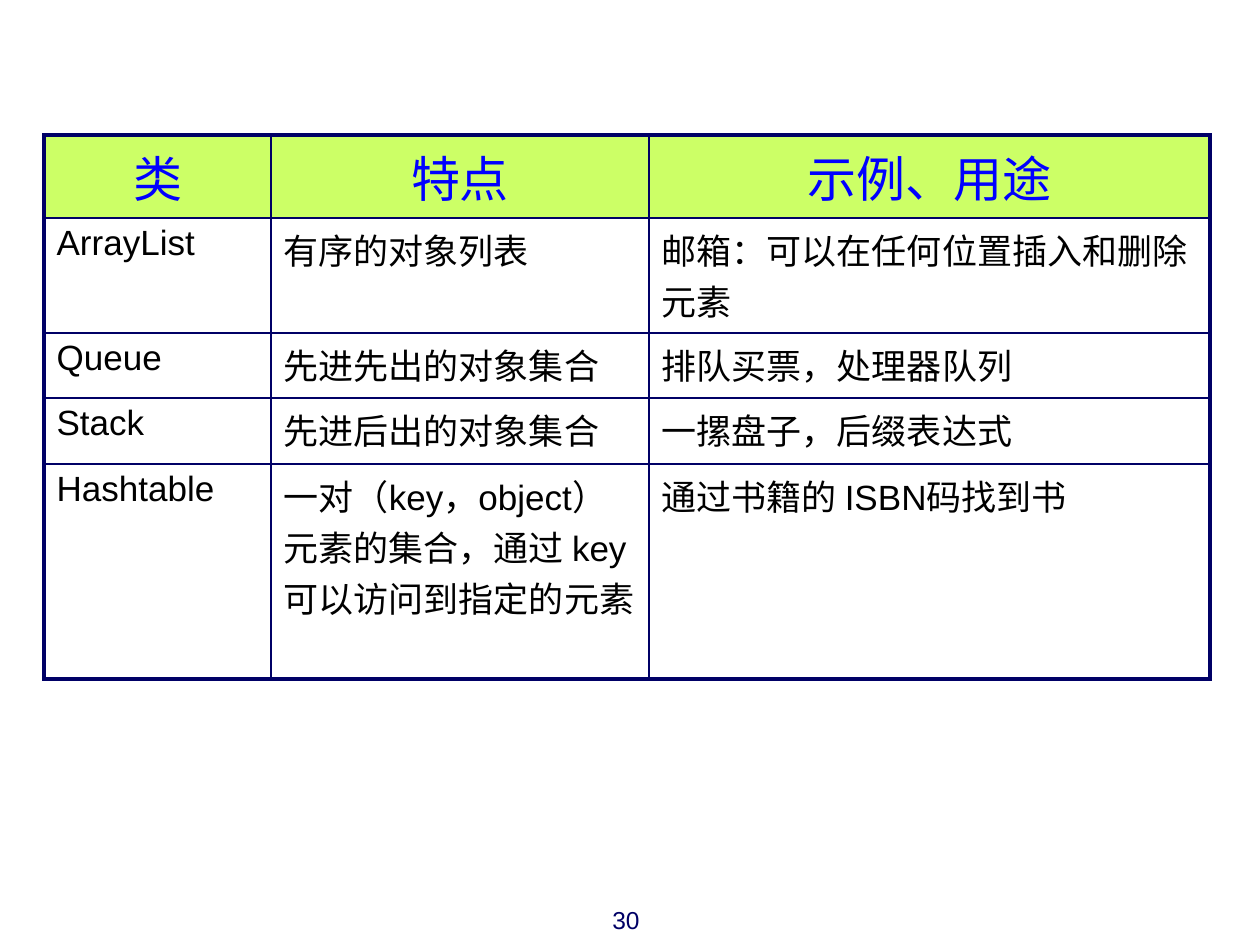
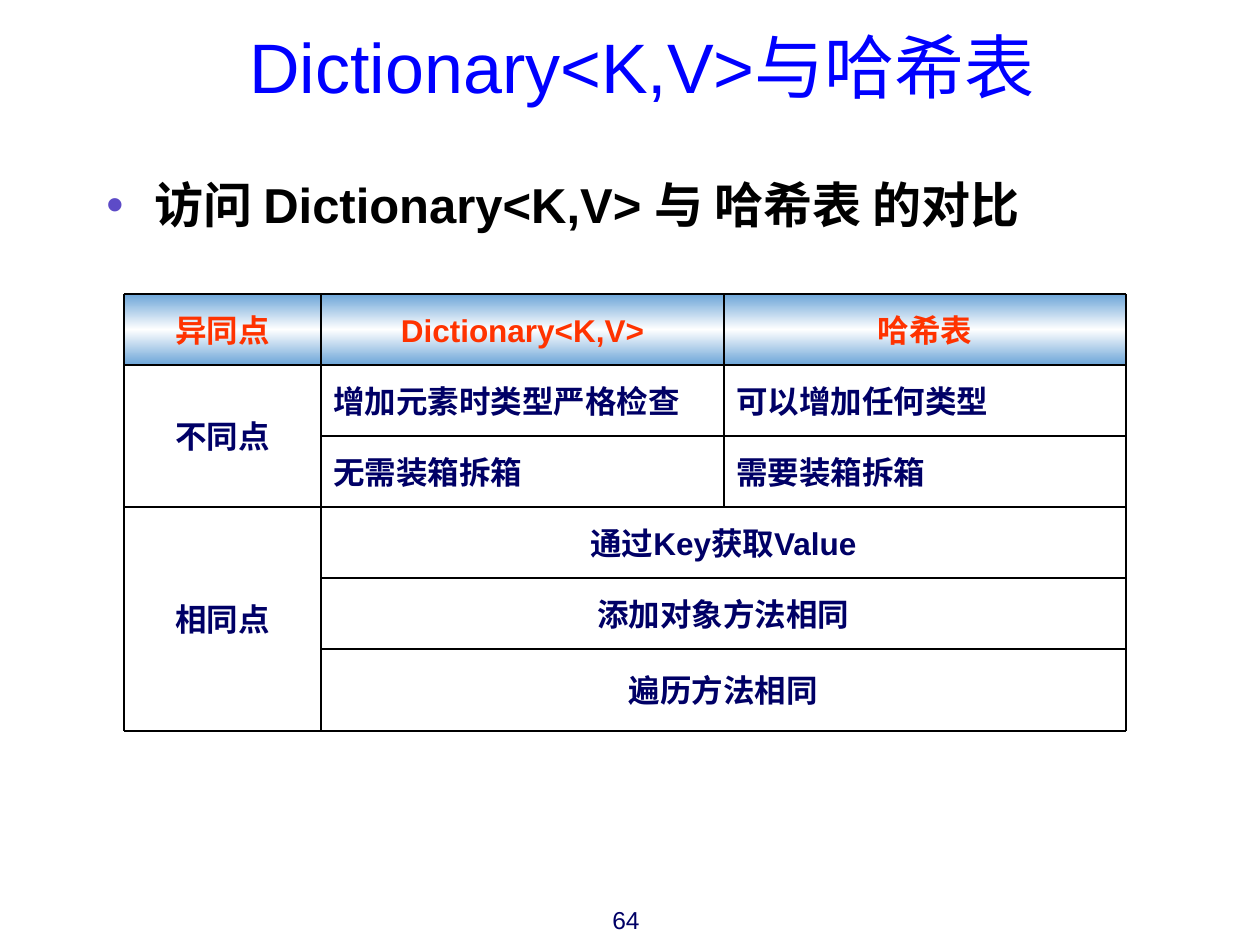
import pptx
import pptx.dml.color
import pptx.enum.shapes
import pptx.enum.text
import pptx.oxml.ns
import pptx.util
from lxml import etree

EMU_PER_PX = 914400 / 126
FONT = "Arial"
COLORS = {
    "navy": "000066",
    "blue": "0000FF",
    "black": "000000",
    "white": "FFFFFF",
    "lime": "CCFF66",
    "sky": "6CA5D8",
    "orange": "FF3300",
    "bullet": "5D4BC7",
}
ALIGN = pptx.enum.text.PP_ALIGN
ANCHOR = pptx.enum.text.MSO_ANCHOR


def px(length):
    return pptx.util.Emu(round(length * EMU_PER_PX))


def rgb(color):
    return pptx.dml.color.RGBColor.from_string(COLORS[color])


def append_xml(parent, tag, **attributes):
    element = etree.SubElement(parent, pptx.oxml.ns.qn(tag))
    for name, value in attributes.items():
        element.set(name, str(value))
    return element


def append_color(parent, color):
    append_xml(parent, "a:srgbClr", val=COLORS[color])


def style_paragraph(paragraph, size, color, bold=False, align=ALIGN.LEFT):
    paragraph.alignment = align
    font = paragraph.font
    font.name = FONT
    font.size = pptx.util.Pt(size)
    font.bold = bold
    font.color.rgb = rgb(color)


def write_text(shape, text, anchor=ANCHOR.TOP):
    frame = shape.text_frame
    frame.word_wrap = True
    frame.vertical_anchor = anchor
    frame.text = text
    return frame.paragraphs[0]


def add_text(slide, box, text, anchor=ANCHOR.TOP):
    return write_text(slide.shapes.add_textbox(*map(px, box)), text, anchor)


def add_title(slide, text):
    title = add_text(slide, (164, 30, 956, 71), text, ANCHOR.MIDDLE)
    style_paragraph(title, 40, "blue", align=ALIGN.CENTER)


def add_page_number(slide, number):
    page = add_text(slide, (560, 899, 92, 26), str(number))
    style_paragraph(page, 14, "navy", align=ALIGN.RIGHT)


def add_bullet(slide, text):
    point = add_text(slide, (94, 175, 1134, 59), text)
    point.line_spacing = 0.9
    properties = point._p.get_or_add_pPr()
    properties.set("marL", str(px(48)))
    properties.set("indent", str(-px(48)))
    append_color(append_xml(properties, "a:buClr"), "bullet")
    append_xml(properties, "a:buFont", typeface=FONT)
    append_xml(properties, "a:buChar", char="•")
    style_paragraph(point, 28, "black", bold=True)


def add_header_band(slide, box, text):
    band = slide.shapes.add_shape(
        pptx.enum.shapes.MSO_SHAPE.RECTANGLE, *map(px, box)
    )
    gradient = append_xml(band._element.spPr, "a:gradFill", rotWithShape=1)
    stops = append_xml(gradient, "a:gsLst")
    for position, color in ((0, "sky"), (50000, "white"), (100000, "sky")):
        append_color(append_xml(stops, "a:gs", pos=position), color)
    append_xml(gradient, "a:lin", ang=5400000, scaled=0)
    band.line.fill.background()
    band.shadow.inherit = False
    heading = write_text(band, text, ANCHOR.MIDDLE)
    style_paragraph(heading, 18, "orange", bold=True, align=ALIGN.CENTER)


def add_entry(slide, box, text, align):
    entry = add_text(slide, box, text, ANCHOR.MIDDLE)
    style_paragraph(entry, 18, "navy", bold=True, align=align)


def add_rule(slide, x1, y1, x2, y2):
    rule = slide.shapes.add_connector(
        pptx.enum.shapes.MSO_CONNECTOR.STRAIGHT, *map(px, (x1, y1, x2, y2))
    )
    rule.line.color.rgb = rgb("black")
    rule.line.width = pptx.util.Pt(1)
    append_xml(rule._element.spPr, "a:effectLst")


def set_border(cell, side, width):
    line = append_xml(cell._tc.get_or_add_tcPr(), f"a:ln{side}", w=pptx.util.Pt(width))
    append_color(append_xml(line, "a:solidFill"), "navy")


def add_table(slide, corner, widths, heights, rows):
    size = (sum(widths), sum(heights))
    table = slide.shapes.add_table(
        len(heights), len(widths), *map(px, corner + size)
    ).table
    table.first_row = False
    table.horz_banding = False
    for column, width in zip(table.columns, widths):
        column.width = px(width)
    for row, height in zip(table.rows, heights):
        row.height = px(height)
    for r, row in enumerate(rows):
        for c, text in enumerate(row):
            cell = table.cell(r, c)
            on_edge = {
                "L": c == 0,
                "R": c == len(widths) - 1,
                "T": r == 0,
                "B": r == len(heights) - 1,
            }
            for side, is_outer in on_edge.items():
                set_border(cell, side, 2.25 if is_outer else 1)
            cell.fill.solid()
            cell.fill.fore_color.rgb = rgb("white" if r else "lime")
            cell.text = text
            paragraph = cell.text_frame.paragraphs[0]
            if r:
                style_paragraph(paragraph, 20, "black")
            else:
                style_paragraph(paragraph, 28, "blue", align=ALIGN.CENTER)


def add_collections_slide(slide):
    add_page_number(slide, 30)
    rows = [
        ("类", "特点", "示例、用途"),
        ("ArrayList", "有序的对象列表", "邮箱：可以在任何位置插入和删除元素"),
        ("Queue", "先进先出的对象集合", "排队买票，处理器队列"),
        ("Stack", "先进后出的对象集合", "一摞盘子，后缀表达式"),
        (
            "Hashtable",
            "一对（key，object）元素的集合，通过 key 可以访问到指定的元素",
            "通过书籍的 ISBN码找到书",
        ),
    ]
    add_table(slide, (44, 135), (227, 378, 561), (83, 115, 65, 66, 215), rows)


def add_comparison_slide(slide):
    add_page_number(slide, 64)
    add_title(slide, "Dictionary<K,V>与哈希表")

    xs = (124, 321, 724, 1126)
    ys = (294, 365, 436, 507, 578, 649, 731)

    def span(left, top, right, bottom):
        return xs[left], ys[top], xs[right] - xs[left], ys[bottom] - ys[top]

    for c, heading in enumerate(("异同点", "Dictionary<K,V>", "哈希表")):
        add_header_band(slide, span(c, 0, c + 1, 1), heading)

    add_entry(slide, span(0, 1, 1, 3), "不同点", ALIGN.CENTER)
    differences = [
        ("增加元素时类型严格检查", "可以增加任何类型"),
        ("无需装箱拆箱", "需要装箱拆箱"),
    ]
    for r, pair in enumerate(differences, 1):
        for c, difference in enumerate(pair, 1):
            add_entry(slide, span(c, r, c + 1, r + 1), difference, ALIGN.LEFT)

    add_entry(slide, span(0, 3, 1, 6), "相同点", ALIGN.CENTER)
    similarities = ("通过Key获取Value", "添加对象方法相同", "遍历方法相同")
    for r, similarity in enumerate(similarities, 3):
        add_entry(slide, span(1, r, 3, r + 1), similarity, ALIGN.CENTER)

    for r, y in enumerate(ys):
        add_rule(slide, xs[1 if r in (2, 4, 5) else 0], y, xs[3], y)
    for c, x in enumerate(xs):
        add_rule(slide, x, ys[0], x, ys[3 if c == 2 else 6])

    add_bullet(slide, "访问 Dictionary<K,V> 与 哈希表 的对比")


def main():
    deck = pptx.Presentation()
    deck.slide_width = px(1260)
    deck.slide_height = px(945)
    blank = deck.slide_layouts[6]
    for build in (add_collections_slide, add_comparison_slide):
        build(deck.slides.add_slide(blank))
    deck.save("out.pptx")


if __name__ == "__main__":
    main()
